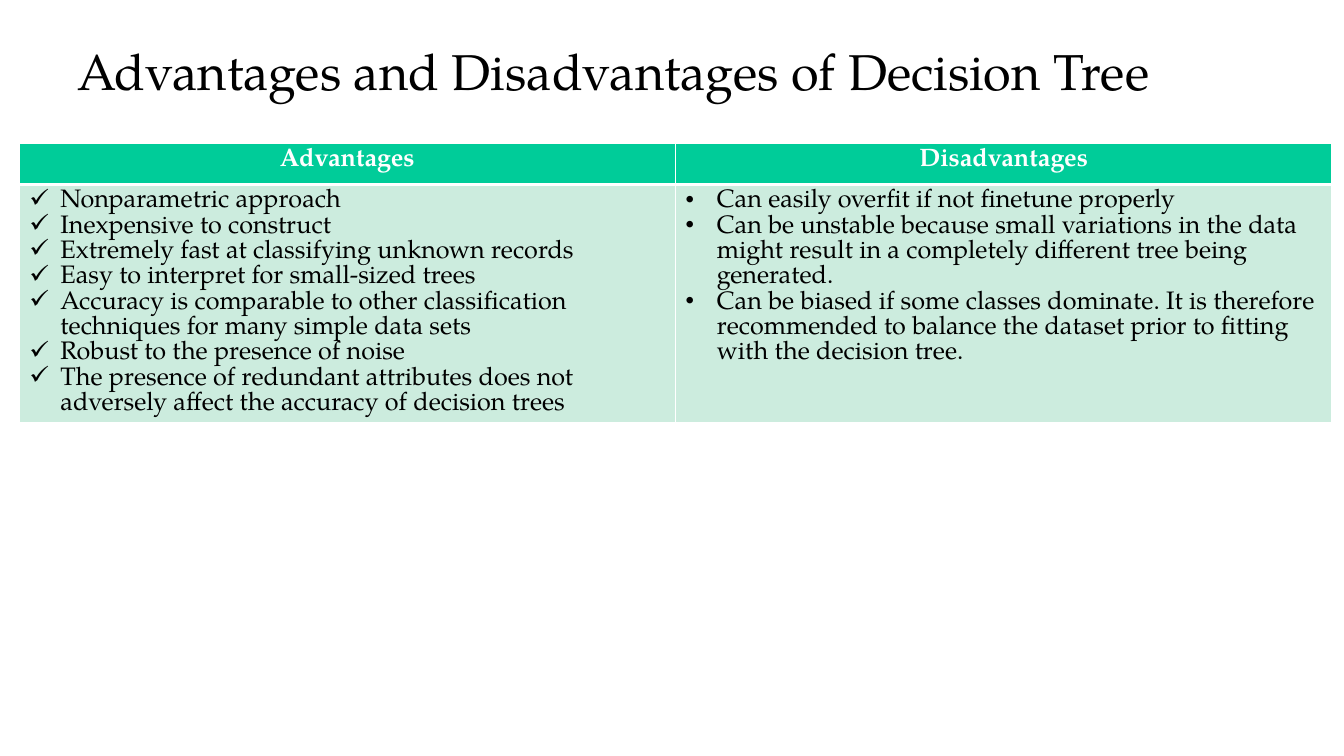
"""Build a slide that sets the advantages of decision trees beside their drawbacks."""
import pptx
import pptx.util
import pptx.dml.color
import pptx.enum.text
import pptx.oxml.ns
import lxml.etree

PX = 9144
FONT = "TeX Gyre Pagella"
BLACK = pptx.dml.color.RGBColor(0x00, 0x00, 0x00)
WHITE = pptx.dml.color.RGBColor(0xFF, 0xFF, 0xFF)
GREEN = pptx.dml.color.RGBColor(0x00, 0xCC, 0x99)
MINT = pptx.dml.color.RGBColor(0xCC, 0xEC, 0xDE)
LEFT = pptx.enum.text.PP_ALIGN.LEFT
MID = pptx.enum.text.PP_ALIGN.CENTER


def write(frame, lines, size=18, pitch=18.1, color=BLACK, bold=False, align=LEFT, mark=None):
    for i, line in enumerate(lines):
        para = frame.paragraphs[0] if i == 0 else frame.add_paragraph()
        para.alignment = align
        para.line_spacing = pptx.util.Pt(pitch)
        run = para.add_run()
        run.text = line
        font = run.font
        font.name, font.size, font.bold = FONT, pptx.util.Pt(size), bold
        font.color.rgb = color
        if mark:
            props = para._p.get_or_add_pPr()
            props.set("marL", str(31 * PX))
            props.set("indent", str(-31 * PX))
            bullet = lxml.etree.SubElement(props, pptx.oxml.ns.qn("a:buChar"))
            bullet.set("char", mark)


def edge(cell, side, width):
    props = cell._tc.get_or_add_tcPr()
    line = lxml.etree.SubElement(props, pptx.oxml.ns.qn("a:ln" + side))
    line.set("w", str(pptx.util.Pt(width)))
    fill = lxml.etree.SubElement(line, pptx.oxml.ns.qn("a:solidFill"))
    lxml.etree.SubElement(fill, pptx.oxml.ns.qn("a:srgbClr")).set("val", str(WHITE))


deck = pptx.Presentation()
deck.slide_width, deck.slide_height = 1333 * PX, 750 * PX
slide = deck.slides.add_slide(deck.slide_layouts[6])

title = slide.shapes.add_textbox(67 * PX, 22 * PX, 1199 * PX, 100 * PX).text_frame
title.word_wrap = True
title.vertical_anchor = pptx.enum.text.MSO_ANCHOR.MIDDLE
title.margin_left = title.margin_right = title.margin_top = 10 * PX
title.margin_bottom = 5 * PX
write(title, ["Advantages and Disadvantages of Decision Tree"], size=36, pitch=36.7)

sides = [
    ("Advantages", "✓", [
        "Nonparametric approach",
        "Inexpensive to construct",
        "Extremely fast at classifying unknown records",
        "Easy to interpret for small-sized trees",
        "Accuracy is comparable to other classification techniques for many simple data sets",
        "Robust to the presence of noise",
        "The presence of redundant attributes does not adversely affect the accuracy of decision trees",
    ]),
    ("Disadvantages", "•", [
        "Can easily overfit if not finetune properly",
        "Can be unstable because small variations in the data might result in a completely "
        "different tree being generated.",
        "Can be biased if some classes dominate. It is therefore recommended to balance the "
        "dataset prior to fitting with the decision tree.",
    ]),
]

table = slide.shapes.add_table(2, 2, 19 * PX, 142 * PX, 1302 * PX, 277 * PX).table
table.rows[0].height, table.rows[1].height = 41 * PX, 236 * PX
for col, (name, mark, points) in enumerate(sides):
    table.columns[col].width = 651 * PX
    head, body = table.cell(0, col), table.cell(1, col)
    write(head.text_frame, [name], color=WHITE, bold=True, align=MID)
    write(body.text_frame, points, mark=mark)
    for cell, shade, thick in ((head, GREEN, "B"), (body, MINT, "T")):
        for side in "LRTB":
            edge(cell, side, 3 if side == thick else 1)
        cell.fill.solid()
        cell.fill.fore_color.rgb = shade

deck.save("out.pptx")
